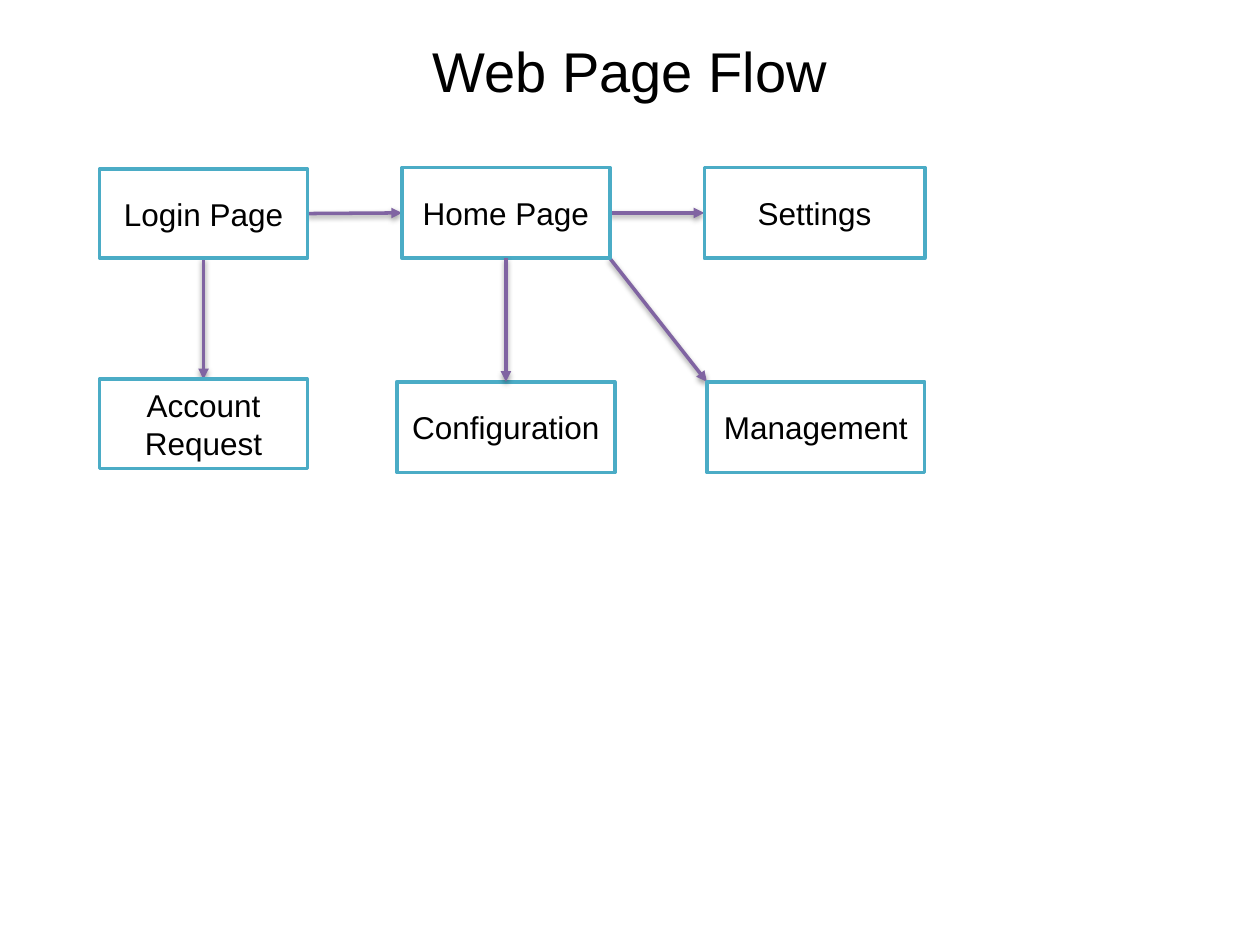
"""Build the Web Page Flow slide: six page boxes joined by arrows."""
from dataclasses import dataclass

from lxml import etree
from pptx import Presentation
from pptx import util as u
from pptx.dml.color import RGBColor
from pptx.enum import shapes, text
from pptx.oxml import parse_xml
from pptx.oxml.ns import nsdecls, qn


@dataclass(frozen=True)
class Theme:
    font: str = "Arial"
    title_size: int = 32
    box_size: int = 18
    line_width: int = 2
    ink: str = "000000"
    paper: str = "FFFFFF"
    border: str = "4BACC6"
    arrow: str = "8064A2"


THEME = Theme()
TITLE = "Web Page Flow"
PAGES = {
    "Login Page": (0.79, 1.34, 1.65, 0.71),
    "Home Page": (3.19, 1.33, 1.65, 0.72),
    "Account Request": (0.79, 3.01, 1.65, 0.71),
    "Settings": (5.59, 1.33, 1.75, 0.72),
    "Configuration": (3.15, 3.03, 1.73, 0.72),
    "Management": (5.61, 3.03, 1.73, 0.72),
}
ANCHORS = {
    "top": (0.5, 0),
    "bottom": (0.5, 1),
    "left": (0, 0.5),
    "right": (1, 0.5),
    "top left": (0, 0),
    "bottom right": (1, 1),
}
ARROWS_BEHIND = [
    ("Home Page", "bottom right", "Management", "top left"),
    ("Home Page", "right", "Settings", "left"),
    ("Login Page", "bottom", "Account Request", "top"),
    ("Login Page", "right", "Home Page", "left"),
]
ARROWS_IN_FRONT = [("Home Page", "bottom", "Configuration", "top")]
SHADOW = (
    f'<a:effectLst {nsdecls("a")}>'
    '<a:outerShdw blurRad="40000" dist="20000" dir="5400000" rotWithShape="0">'
    '<a:srgbClr val="000000"><a:alpha val="38000"/></a:srgbClr>'
    "</a:outerShdw></a:effectLst>"
)


def color(value):
    return RGBColor.from_string(value)


def place(shape, box):
    shape.left, shape.top, shape.width, shape.height = map(u.Inches, box)


def write(shape, words, size):
    frame = shape.text_frame
    frame.text = words
    frame.word_wrap = True
    frame.vertical_anchor = text.MSO_ANCHOR.MIDDLE
    paragraph = frame.paragraphs[0]
    paragraph.alignment = text.PP_ALIGN.CENTER
    paragraph.font.name = THEME.font
    paragraph.font.size = u.Pt(size)
    paragraph.font.color.rgb = color(THEME.ink)


def outline(line, value):
    line.color.rgb = color(value)
    line.width = u.Pt(THEME.line_width)


def anchor_point(page, anchor):
    left, top, width, height = PAGES[page]
    across, down = ANCHORS[anchor]
    return u.Inches(left + across * width), u.Inches(top + down * height)


def add_arrow(slide, source, start, target, end):
    connector = slide.shapes.add_connector(
        shapes.MSO_CONNECTOR.STRAIGHT,
        *anchor_point(source, start),
        *anchor_point(target, end),
    )
    outline(connector.line, THEME.arrow)
    properties = connector._element.spPr
    etree.SubElement(properties.find(qn("a:ln")), qn("a:tailEnd"), type="triangle")
    properties.append(parse_xml(SHADOW))


def add_page(slide, name, box):
    shape = slide.shapes.add_shape(
        shapes.MSO_SHAPE.RECTANGLE, *map(u.Inches, box)
    )
    shape.shadow.inherit = False
    shape.fill.solid()
    shape.fill.fore_color.rgb = color(THEME.paper)
    outline(shape.line, THEME.border)
    write(shape, name, THEME.box_size)


presentation = Presentation()
presentation.slide_width = u.Inches(10)
presentation.slide_height = u.Inches(7.5)
slide = presentation.slides.add_slide(presentation.slide_layouts[5])
place(slide.shapes.title, (0, 0.13, 10, 0.85))
write(slide.shapes.title, TITLE, THEME.title_size)
for arrow in ARROWS_BEHIND:
    add_arrow(slide, *arrow)
for name, box in PAGES.items():
    add_page(slide, name, box)
for arrow in ARROWS_IN_FRONT:
    add_arrow(slide, *arrow)
presentation.save("out.pptx")
